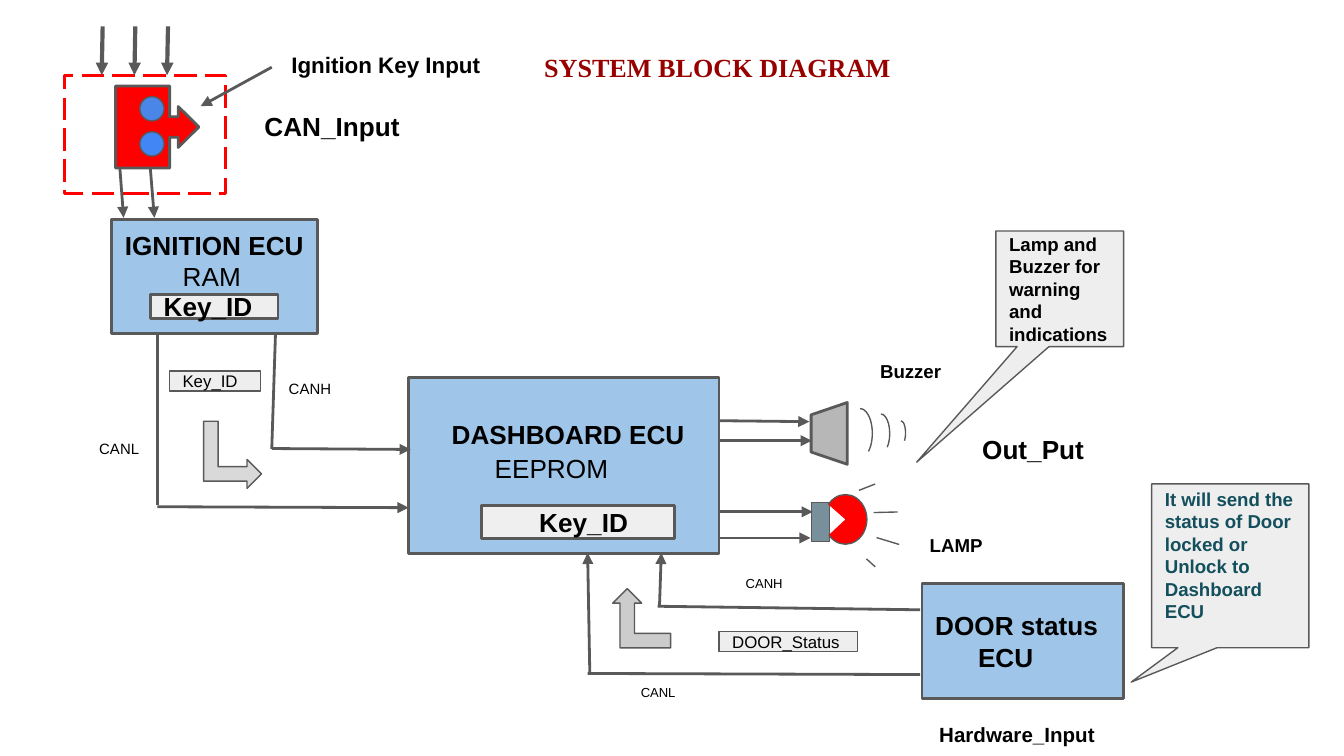
from dataclasses import dataclass

from lxml import etree
from pptx import Presentation
from pptx.dml.color import RGBColor
from pptx.enum.dml import MSO_LINE
from pptx.enum.shapes import MSO_CONNECTOR, MSO_SHAPE
from pptx.enum.text import MSO_ANCHOR
from pptx.oxml.ns import qn
from pptx.util import Pt

RECT = MSO_SHAPE.RECTANGLE
OVAL = MSO_SHAPE.OVAL
ARC = MSO_SHAPE.ARC
TRAPEZOID = MSO_SHAPE.TRAPEZOID
BENT_ARROW = MSO_SHAPE.BENT_UP_ARROW
ARROW_CALLOUT = MSO_SHAPE.RIGHT_ARROW_CALLOUT
SPEECH = MSO_SHAPE.RECTANGULAR_CALLOUT
STRAIGHT = MSO_CONNECTOR.STRAIGHT
LONG_DASH = MSO_LINE.LONG_DASH
MIDDLE, TOP = MSO_ANCHOR.MIDDLE, MSO_ANCHOR.TOP

GREY, BLACK, RED = "595959", "000000", "FF0000"
ECU_BLUE, PALE, TEAL = "9FC5E8", "EEEEEE", "134F5C"
THIN, MEDIUM, THICK = 0.75, 1.5, 2.25
INSET = 7.2
QUARTERS = (0.25, 0.25, 0.25)
WAVE = (162, 39.2)


@dataclass
class Part:
    """A preset shape with its place and look."""
    kind: MSO_SHAPE
    at: tuple[float, float, float, float]
    fill: str | None = None
    width: float = THIN
    line: str = GREY
    adjust: tuple[float, ...] = ()
    turn: float = 0
    mirrored: bool = False
    dashed: bool = False


@dataclass
class Line:
    """One paragraph of text with its left indent."""
    text: str
    indent: float = 0
    bold: bool = True
    before: float = 0


@dataclass
class Label:
    """Free text with its place and format."""
    text: str
    at: tuple[float, float, float, float]
    size: float
    bold: bool = True
    color: str = BLACK
    font: str = "Arial"


@dataclass
class Wire:
    """A straight line between two points."""
    start: tuple[float, float]
    end: tuple[float, float]
    width: float = MEDIUM
    arrow: bool = True


def rgb(value: str) -> RGBColor:
    """Turn a hex string into a colour."""
    return RGBColor.from_string(value)


def write(shape, lines: list[Line], *, size: float, color: str = BLACK, font: str = "Arial",
          anchor=MIDDLE, right: float = INSET, bottom: float = INSET) -> None:
    """Fill a shape with left-aligned paragraphs."""
    frame = shape.text_frame
    frame.word_wrap = True
    frame.vertical_anchor = anchor
    frame.margin_left = frame.margin_top = Pt(INSET)
    frame.margin_right, frame.margin_bottom = Pt(right), Pt(bottom)
    for index, line in enumerate(lines):
        paragraph = frame.add_paragraph() if index else frame.paragraphs[0]
        properties = paragraph._p.get_or_add_pPr()
        properties.set("algn", "l")
        properties.set("marL", str(Pt(line.indent)))
        paragraph.space_before = Pt(line.before)
        run = paragraph.add_run()
        run.text = line.text
        run.font.name, run.font.size, run.font.bold = font, Pt(size), line.bold
        run.font.color.rgb = rgb(color)


def draw_part(slide, part: Part):
    """Draw a preset shape and return it."""
    shape = slide.shapes.add_shape(part.kind, *map(Pt, part.at))
    shape.shadow.inherit = False
    for index, value in enumerate(part.adjust):
        shape.adjustments[index] = value
    if part.fill:
        shape.fill.solid()
        shape.fill.fore_color.rgb = rgb(part.fill)
    else:
        shape.fill.background()
    shape.line.color.rgb = rgb(part.line)
    shape.line.width = Pt(part.width)
    if part.dashed:
        shape.line.dash_style = LONG_DASH
    shape.rotation = part.turn
    if part.mirrored:
        shape.element.spPr.find(qn("a:xfrm")).set("flipH", "1")
    return shape


def draw_wire(slide, wire: Wire) -> None:
    """Draw a wire, with an arrowhead at its end if asked."""
    connector = slide.shapes.add_connector(STRAIGHT, *map(Pt, wire.start + wire.end))
    connector.line.color.rgb = rgb(GREY)
    connector.line.width = Pt(wire.width)
    properties = connector.element.spPr
    if wire.arrow:
        etree.SubElement(properties.get_or_add_ln(), qn("a:tailEnd")).set("type", "triangle")
    etree.SubElement(properties, qn("a:effectLst"))


def draw_label(slide, label: Label) -> None:
    """Draw a text box."""
    box = slide.shapes.add_textbox(*map(Pt, label.at))
    write(box, [Line(label.text, bold=label.bold)], size=label.size, color=label.color,
          font=label.font, anchor=TOP)


TEXT_PARTS = [
    (Part(RECT, (218.9, 202.3, 166.3, 94.3), ECU_BLUE, MEDIUM),
     [Line("DASHBOARD ECU", 16), Line("EEPROM", 39, False, 1.6)], dict(size=14, bottom=23)),
    (Part(RECT, (257.8, 270.7, 103.7, 18), "EFEFEF", MEDIUM), [Line("Key_ID", 24)], dict(size=14)),
    (Part(RECT, (59.8, 117.4, 110.2, 61.2), ECU_BLUE, MEDIUM),
     [Line("IGNITION ECU"), Line("RAM", 31, False)], dict(size=14, right=4, bottom=24)),
    (Part(RECT, (80.6, 157.7, 68.4, 13), PALE, MEDIUM), [Line("Key_ID")], dict(size=14)),
    (Part(RECT, (493.9, 312.5, 108, 61.9), ECU_BLUE, MEDIUM),
     [Line("DOOR status"), Line("ECU", 23)], dict(size=14)),
    (Part(RECT, (90.7, 198.7, 49, 10.8), PALE), [Line("Key_ID", bold=False)], dict(size=9)),
    (Part(RECT, (385.2, 338.4, 74.2, 10.8), PALE), [Line("DOOR_Status", bold=False)], dict(size=9)),
    (Part(SPEECH, (533.5, 123.8, 68.4, 61.9), PALE, adjust=(-1.12, 1.5)),
     [Line("Lamp and Buzzer for warning and indications")], dict(size=10)),
    (Part(SPEECH, (617, 259.2, 84.2, 87.8), PALE, adjust=(-0.63, 0.71)),
     [Line("It will send the status of Door locked or Unlock to Dashboard ECU")],
     dict(size=10, color=TEAL, bottom=18.7)),
]

PARTS = [
    Part(ARROW_CALLOUT, (61.9, 46.1, 44.6, 43.9), RED, MEDIUM, adjust=QUARTERS + (0.65,)),
    Part(OVAL, (74.9, 51.8, 13, 13), "4A86E8"),
    Part(OVAL, (74.9, 70.6, 13, 13), "4285F4"),
    Part(TRAPEZOID, (427.7, 222.5, 33.1, 19.4), "B7B7B7", MEDIUM, adjust=(0.34,), turn=270),
    Part(ARC, (454.3, 218.9, 13, 26.6), adjust=WAVE),
    Part(ARC, (467.3, 221.8, 9.4, 20.9), adjust=WAVE),
    Part(ARC, (480.2, 225.4, 5, 13), adjust=WAVE),
    Part(RECT, (434.9, 269.3, 9.4, 20.9), "78909C"),
    Part(ARC, (441.4, 265, 23, 26.6), RED, adjust=(132.72, 82.02)),
    Part(BENT_ARROW, (106.6, 228.2, 36, 31), "D9D9D9", adjust=QUARTERS, turn=90),
    Part(BENT_ARROW, (328.3, 315.4, 31, 31.7), "CCCCCC", adjust=QUARTERS, mirrored=True),
    Part(RECT, (34.6, 40.3, 86.4, 63.4), None, MEDIUM, RED, dashed=True),
]

WIRES = [
    Wire((147.6, 178.2), (145.6, 240.5), arrow=False),
    Wire((145.6, 240.3), (220, 240.8)),
    Wire((84.3, 178.2), (84.3, 270.7), arrow=False),
    Wire((84.3, 271.5), (218.9, 272)),
    Wire((493, 326.7), (352.3, 324.8), arrow=False),
    Wire((353.3, 325.3), (354.3, 296.2)),
    Wire((493, 361.4), (314.8, 360.8), arrow=False),
    Wire((316, 361.4), (314.8, 296.2)),
    Wire((385.2, 225.4), (433.6, 225.9)),
    Wire((385.2, 236.1), (434.9, 236.1)),
    Wire((385.2, 274.2), (435.4, 274.2)),
    Wire((385.2, 288.2), (434.2, 288.2)),
    Wire((64.2, 89.5), (66.2, 116.7)),
    Wire((80.5, 89.5), (82.7, 116.7)),
    Wire((145.6, 36), (107.5, 56.9)),
    *(Wire((x + 0.5, 14.2), (x, 40.3), THICK) for x in (54.5, 72, 89.5)),
    Wire((460.2, 262.7), (468.9, 259.3), THIN, False),
    Wire((468, 274.6), (480.9, 274.3), THIN, False),
    Wire((469.6, 288), (481.7, 291.7), THIN, False),
    Wire((464.2, 299.4), (468.9, 303.7), THIN, False),
]

LABELS = [
    Label("CANH", (147.6, 198.7, 44.6, 10.8), 8, False),
    Label("CANL", (46.1, 230.8, 38.2, 13), 8, False),
    Label("CANL", (336.2, 362.2, 35.3, 10.8), 7, False),
    Label("CANH", (392.4, 304.2, 35.3, 13), 7, False),
    Label("Out_Put", (519.1, 224.9, 74.2, 31.7), 14),
    Label("CAN_Input", (134.6, 51.8, 95.8, 31.7), 14),
    Label("Ignition Key Input", (149, 20.2, 157.7, 20.9), 12),
    Label("Buzzer", (464.4, 186.5, 49, 18), 10),
    Label("LAMP", (491, 280.1, 49, 20.9), 10),
    Label("Hardware_Input", (496.1, 380.2, 103.7, 20.9), 11),
    Label("SYSTEM BLOCK DIAGRAM", (284.4, 20.2, 225.4, 31.7), 14, True, "980000", "Times New Roman"),
]


def main() -> None:
    """Build the block diagram and save it."""
    deck = Presentation()
    deck.slide_width, deck.slide_height = Pt(720), Pt(405)
    slide = deck.slides.add_slide(deck.slide_layouts[6])
    for part, lines, style in TEXT_PARTS:
        write(draw_part(slide, part), lines, **style)
    for part in PARTS:
        draw_part(slide, part)
    for wire in WIRES:
        draw_wire(slide, wire)
    for label in LABELS:
        draw_label(slide, label)
    deck.save("out.pptx")


if __name__ == "__main__":
    main()
